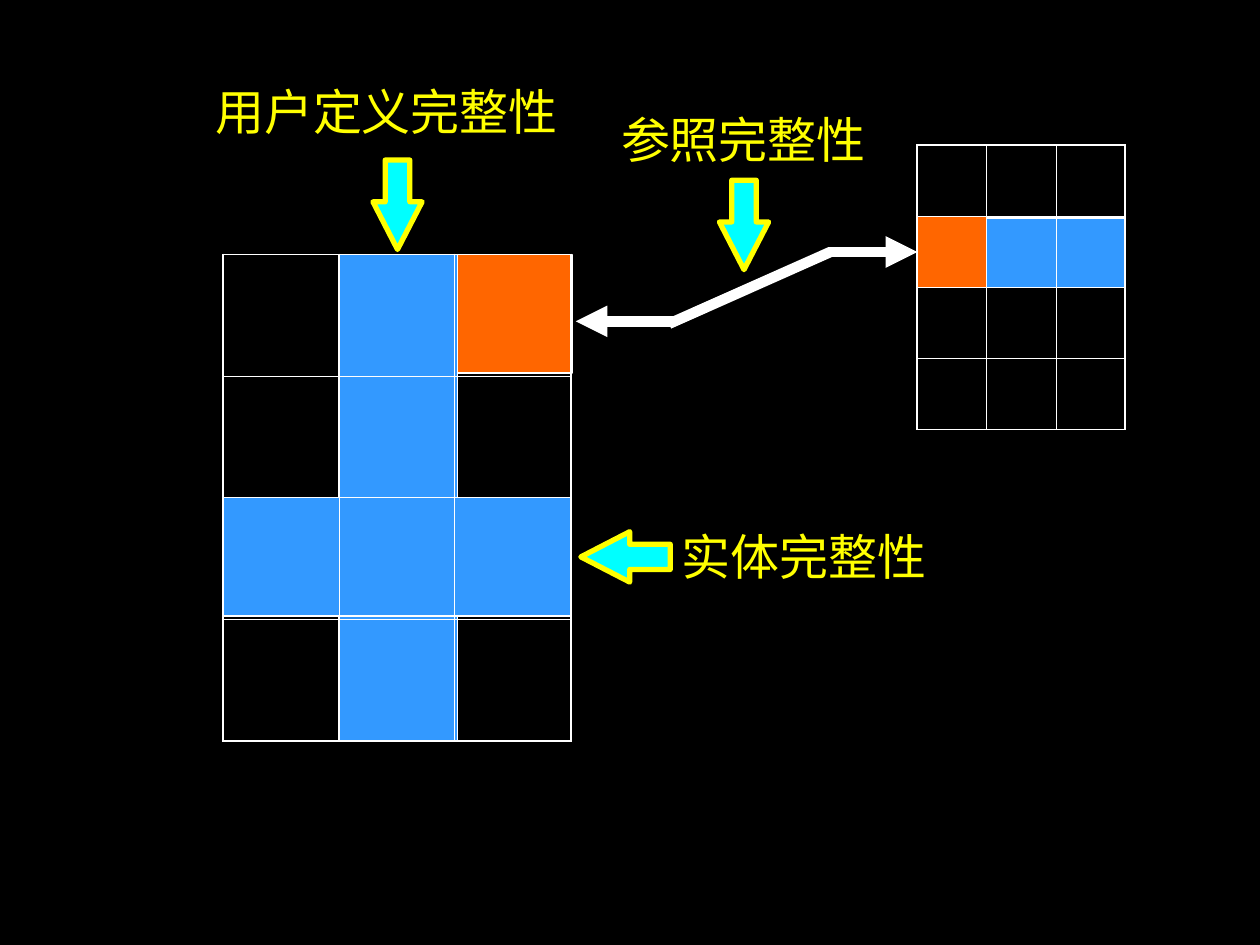
from lxml.etree import SubElement
from pptx import Presentation
from pptx.dml.color import RGBColor
from pptx.enum.shapes import MSO_CONNECTOR as Connector, MSO_SHAPE as Preset
from pptx.enum.text import MSO_AUTO_SIZE as AutoSize, PP_ALIGN as Align
from pptx.oxml import parse_xml
from pptx.oxml.ns import nsdecls, qn
from pptx.util import Emu, Pt

PX = 9144  # EMU per px, at 100 px to the inch
COLORS = {
    "background": "000000",
    "grid": "FFFFFF",
    "band": "3399FF",
    "key": "FF6600",
    "arrow": "00FFFF",
    "label": "FFFF00",
}
FONT = "Arial"
ROWS, COLUMNS = 4, 3
OUTER_LINE, INNER_LINE = 1.08, 0.45


def px(*lengths):
    return [Emu(round(length * PX)) for length in lengths]


def color(name):
    return RGBColor.from_string(COLORS[name])


def add_filled(slide, preset, box, fill, line, line_width):
    shape = slide.shapes.add_shape(preset, *px(*box))
    shape.shadow.inherit = False
    shape.fill.solid()
    shape.fill.fore_color.rgb = color(fill)
    shape.line.color.rgb = color(line)
    shape.line.width = Pt(line_width)
    return shape


def add_cell_block(slide, box, fill):
    return add_filled(slide, Preset.RECTANGLE, box, fill, "grid", 0.75)


def border_cell(cell, row, column):
    cell.fill.background()
    outer_sides = {
        "L": column == 0,
        "R": column == COLUMNS - 1,
        "T": row == 0,
        "B": row == ROWS - 1,
    }
    properties = cell._tc.get_or_add_tcPr()
    for index, (side, is_outer) in enumerate(outer_sides.items()):
        width = Pt(OUTER_LINE if is_outer else INNER_LINE)
        properties.insert(index, parse_xml(
            f'<a:ln{side} {nsdecls("a")} w="{width}"><a:solidFill>'
            f'<a:srgbClr val="{COLORS["grid"]}"/></a:solidFill></a:ln{side}>'))


def add_grid(slide, box):
    table = slide.shapes.add_table(ROWS, COLUMNS, *px(*box)).table
    table.first_row = table.horz_banding = False
    for column in table.columns:
        column.width = px(box[2] / COLUMNS)[0]
    for row in table.rows:
        row.height = px(box[3] / ROWS)[0]
    for row in range(ROWS):
        for column in range(COLUMNS):
            border_cell(table.cell(row, column), row, column)


def add_main_table(slide, left, top):
    width, height = 276, 386
    add_cell_block(slide, (left + 183, top, 94, 94), "key")
    add_cell_block(slide, (left + 92, top, 94, height), "band")
    add_cell_block(slide, (left, top + 193, width, 94), "band")
    add_grid(slide, (left, top, width, height))


def add_reference_table(slide, left, top):
    width, height = 165, 226
    add_cell_block(slide, (left, top + 58, width, 55), "band")
    key = add_cell_block(slide, (left, top + 57, 55, 56), "key")
    add_grid(slide, (left, top, width, height))
    return key


def add_label(slide, text, box, alignment=Align.LEFT):
    text_box = slide.shapes.add_textbox(*px(*box))
    frame = text_box.text_frame
    frame.word_wrap = True
    frame.auto_size = AutoSize.SHAPE_TO_FIT_TEXT
    paragraph = frame.paragraphs[0]
    paragraph.alignment = alignment
    run = paragraph.add_run()
    run.text = text
    run.font.name = FONT
    run.font.size = Pt(28)
    run.font.color.rgb = color("label")


def add_pointer(slide, box, rotation=0):
    arrow = add_filled(slide, Preset.LEFT_ARROW, box, "arrow", "label", 3)
    arrow.adjustments[0] = 0.5
    arrow.adjustments[1] = 0.97
    arrow.rotation = rotation


def add_link_line(slide, start, end, arrowhead=False):
    line = slide.shapes.add_connector(Connector.STRAIGHT, *px(*start, *end))
    line.line.color.rgb = color("grid")
    line.line.width = Pt(6)
    if arrowhead:
        SubElement(line.line._get_or_add_ln(), qn("a:tailEnd"), type="triangle")
    SubElement(line._element.spPr, qn("a:effectLst"))
    return line


def add_reference_link(slide, left, top, key):
    to_key = add_link_line(slide, (left + 200, top), (left + 271, top), True)
    to_key.end_connect(key, 1)
    add_link_line(slide, (left + 79, top + 55), (left, top + 55), True)
    add_link_line(slide, (left + 202, top), (left + 74, top + 57))


def build_slide(presentation):
    slide = presentation.slides.add_slide(presentation.slide_layouts[6])
    slide.background.fill.solid()
    slide.background.fill.fore_color.rgb = color("background")

    # Two related tables
    add_main_table(slide, 177, 202)
    key = add_reference_table(slide, 728, 115)

    # Entity integrity
    add_pointer(slide, (461, 422, 71, 40))
    add_label(slide, "实体完整性", (531, 413, 244, 57))

    # User-defined integrity
    add_pointer(slide, (280, 143, 71, 39), 270)
    add_label(slide, "用户定义完整性", (161, 60, 307, 57))

    # Referential integrity
    add_reference_link(slide, 457, 200, key)
    add_pointer(slide, (555, 159, 71, 39), 270)
    add_label(slide, "参照完整性", (476, 82, 228, 57), Align.CENTER)


def main():
    presentation = Presentation()
    presentation.slide_width, presentation.slide_height = px(1000, 750)
    build_slide(presentation)
    presentation.save("out.pptx")


if __name__ == "__main__":
    main()
